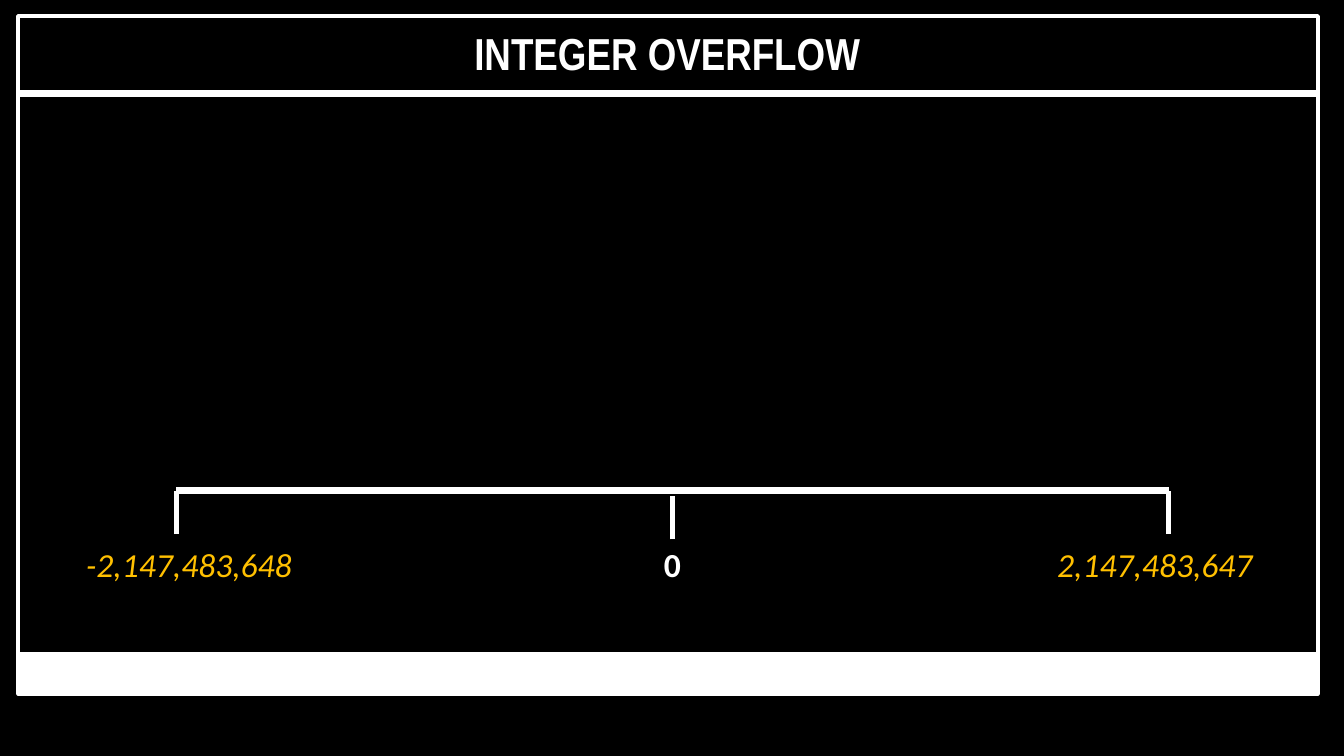
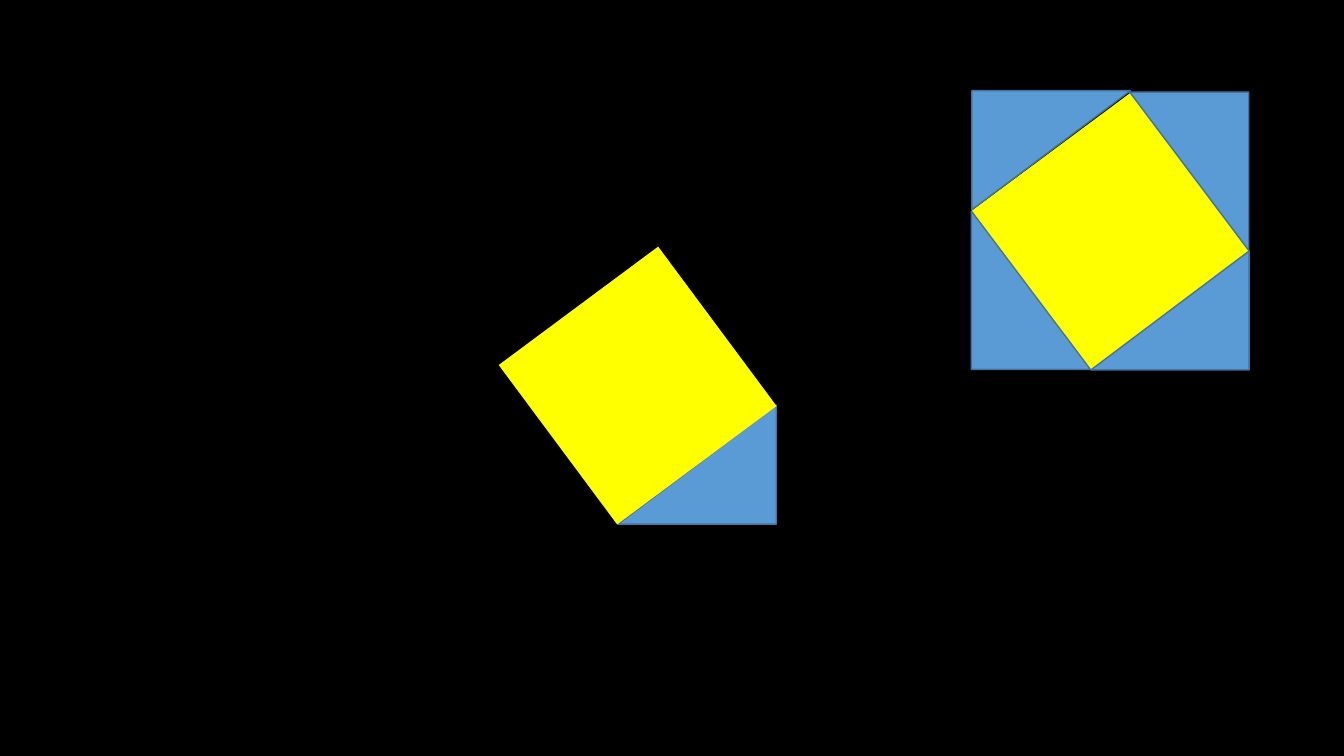
import pptx
import pptx.dml.color
import pptx.enum.shapes
import pptx.enum.text
import pptx.oxml.ns
import pptx.util
import lxml.etree

Inches = pptx.util.Inches
Pt = pptx.util.Pt
RGB = pptx.dml.color.RGBColor.from_string
qn = pptx.oxml.ns.qn
PRESET = pptx.enum.shapes.MSO_SHAPE

COLORS = {
    "background": "000000",
    "white": "FFFFFF",
    "limit": "FFC000",
    "triangle": "5B9BD5",
    "triangle_edge": "43739E",
    "square": "FFFF00",
}

deck = pptx.Presentation()
deck.slide_width = Inches(13.33)
deck.slide_height = Inches(7.5)


def add_block(shapes, preset, box, fill=None, edge=None, width=1, turn=0, flip=None):
    block = shapes.add_shape(preset, *map(Inches, box))
    block.shadow.inherit = False
    block.rotation = turn
    if fill:
        block.fill.solid()
        block.fill.fore_color.rgb = RGB(COLORS[fill])
    else:
        block.fill.background()
    if edge:
        block.line.color.rgb = RGB(COLORS[edge])
        block.line.width = Pt(width)
    else:
        block.line.fill.background()
    if flip:
        block._element.spPr.find(qn("a:xfrm")).set(flip, "1")


def add_rule(shapes, start, end, width):
    rule = shapes.add_connector(
        pptx.enum.shapes.MSO_CONNECTOR.STRAIGHT, *map(Inches, start + end))
    rule.line.color.rgb = RGB(COLORS["white"])
    rule.line.width = Pt(width)
    lxml.etree.SubElement(rule._element.spPr, qn("a:effectLst"))


# Both slides: blank layout on black
overflow, squares = [deck.slides.add_slide(deck.slide_layouts[6]) for _ in range(2)]
for slide in (overflow, squares):
    slide.background.fill.solid()
    slide.background.fill.fore_color.rgb = RGB(COLORS["background"])

# Slide 1: frame, footer band and rule under the title
add_block(overflow.shapes, PRESET.RECTANGLE, (0.18, 0.16, 12.89, 6.72), edge="white", width=3)
add_block(overflow.shapes, PRESET.RECTANGLE, (0.16, 6.47, 12.91, 0.4), fill="white")
add_rule(overflow.shapes, (0.16, 0.93), (13.07, 0.93), 5)

# Number line with a tick at each end and at zero
number_line = overflow.shapes.add_group_shape().shapes
add_rule(number_line, (1.75, 4.87), (11.59, 4.87), 5)
for x, top in ((1.75, 4.87), (6.67, 4.92), (11.59, 4.87)):
    add_rule(number_line, (x, top + 0.43), (x, top), 4)

# Title and number labels
labels = (
    (overflow.shapes, "INTEGER OVERFLOW", (2.44, 0.21, 8.36, 0.64), "Arial Narrow", 32, "white", True),
    (number_line, "-2,147,483,648", (0.65, 5.35, 2.45, 0.5), "Calibri", 24, "limit", False),
    (number_line, "0", (6.11, 5.35, 1.12, 0.5), "Calibri", 24, "white", True),
    (number_line, "2,147,483,647", (10.23, 5.35, 2.45, 0.5), "Calibri", 24, "limit", False),
)
for shapes, wording, box, font, size, color, bold in labels:
    frame = shapes.add_textbox(*map(Inches, box)).text_frame
    frame.word_wrap = True
    frame.auto_size = pptx.enum.text.MSO_AUTO_SIZE.SHAPE_TO_FIT_TEXT
    line = frame.paragraphs[0]
    line.alignment = pptx.enum.text.PP_ALIGN.CENTER
    run = line.add_run()
    run.text = wording
    run.font.name = font
    run.font.size = Pt(size)
    run.font.bold = bold
    run.font.italic = not bold
    run.font.color.rgb = RGB(COLORS[color])

# Slide 2: one triangle with the square on its hypotenuse, then four around a square
SIDE, BASE, HEIGHT, TILT = 1.97, 1.57, 1.18, 323.4
pieces = (
    ("triangle", 6.13, 4.02, 0, "flipH"),
    ("square", 5.34, 2.84, TILT, None),
    ("square", 10.03, 1.31, TILT, None),
    ("triangle", 9.44, 2.29, 90, "flipH"),
    ("triangle", 10.82, 2.49, 0, "flipH"),
    ("triangle", 9.64, 0.9, 0, "flipV"),
    ("triangle", 11.01, 1.11, 270, "flipH"),
)
for kind, left, top, turn, flip in pieces:
    if kind == "square":
        add_block(squares.shapes, PRESET.RECTANGLE, (left, top, SIDE, SIDE), kind, turn=turn)
    else:
        add_block(squares.shapes, PRESET.RIGHT_TRIANGLE, (left, top, BASE, HEIGHT),
                  kind, "triangle_edge", turn=turn, flip=flip)

deck.save("out.pptx")
